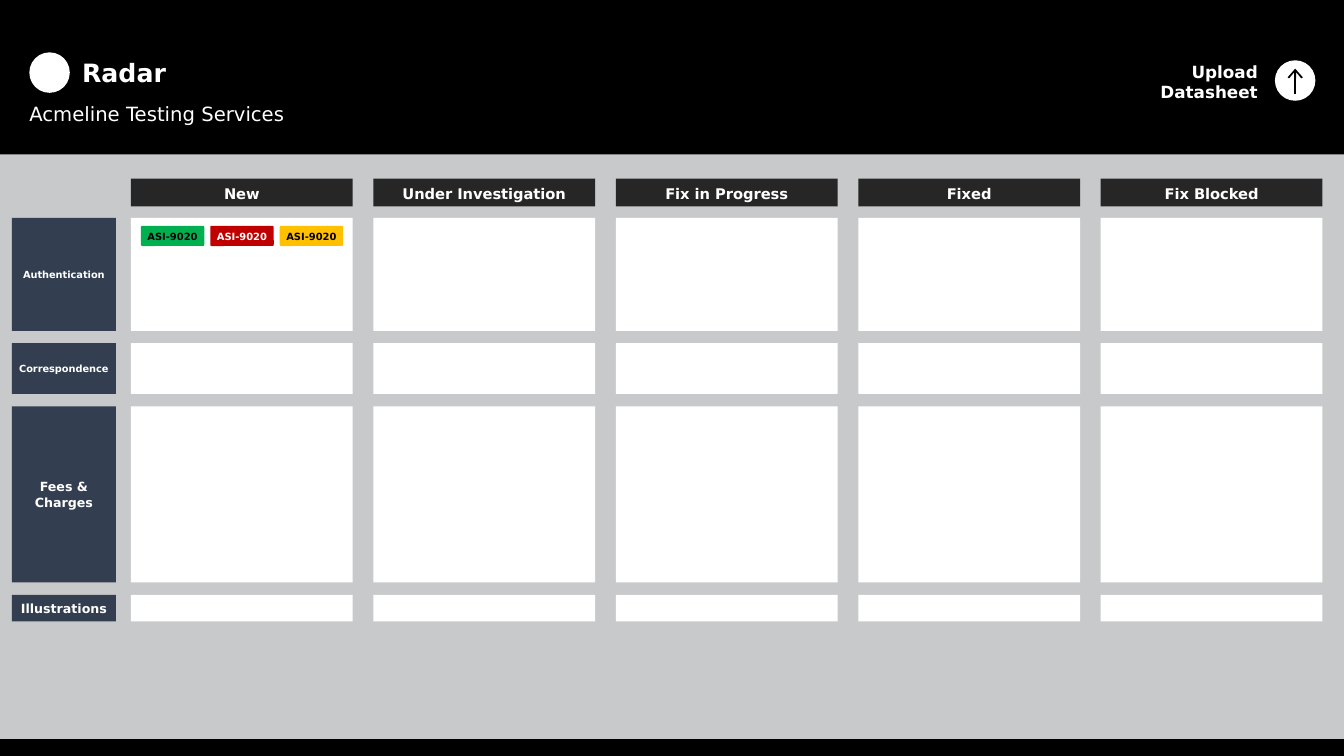
import pptx
import pptx.util
import pptx.dml.color
import pptx.enum.shapes
import pptx.enum.text
import pptx.oxml.ns
from lxml import etree

Cm, Pt = pptx.util.Cm, pptx.util.Pt
SHAPE = pptx.enum.shapes.MSO_SHAPE
ALIGN = pptx.enum.text.PP_ALIGN
ANCHOR = pptx.enum.text.MSO_ANCHOR

COLORS = {
    "black": "000000", "white": "FFFFFF", "panel": "C8C9CA",
    "category": "333F50", "status": "262626",
    "green": "00B050", "red": "C00000", "amber": "FFC000",
}


def rgb(name):
    return pptx.dml.color.RGBColor.from_string(COLORS[name])


class Board:
    font = "DejaVu Sans"

    def __init__(self, prs):
        self.s = prs.slides.add_slide(prs.slide_layouts[6])
        self.s.background.fill.solid()
        self.s.background.fill.fore_color.rgb = rgb("black")

    def style(self, p, text, size, color="white", bold=True, align=ALIGN.LEFT):
        p.text = text
        p.alignment = align
        p.font.name = self.font
        p.font.size = Pt(size)
        p.font.bold = bold
        p.font.color.rgb = rgb(color)

    def insets(self, tf, side=0, top=0, bottom=0):
        tf.word_wrap = True
        tf.margin_left = tf.margin_right = Cm(side)
        tf.margin_top, tf.margin_bottom = Cm(top), Cm(bottom)

    def shape(self, x, y, w, h, fill, kind=SHAPE.RECTANGLE):
        sp = self.s.shapes.add_shape(kind, Cm(x), Cm(y), Cm(w), Cm(h))
        sp.shadow.inherit = False
        sp.fill.solid()
        sp.fill.fore_color.rgb = rgb(fill)
        sp.line.fill.background()
        return sp

    def label(self, sp, text, size, color="white", insets=(0, 0, 0)):
        tf = sp.text_frame
        self.insets(tf, *insets)
        tf.vertical_anchor = ANCHOR.MIDDLE
        p = tf.paragraphs[0]
        self.style(p, text, size, color, align=ALIGN.CENTER)
        p.line_spacing = 1.06

    def text(self, x, y, w, h, lines, align=ALIGN.LEFT):
        """Each line is (text, size, bold, left indent in cm)."""
        tf = self.s.shapes.add_textbox(Cm(x), Cm(y), Cm(w), Cm(h)).text_frame
        self.insets(tf)
        for i, (text, size, bold, indent) in enumerate(lines):
            p = tf.add_paragraph() if i else tf.paragraphs[0]
            self.style(p, text, size, bold=bold, align=align)
            p.space_after = Pt(10)
            if indent:
                pPr = p._p.get_or_add_pPr()
                pPr.set("marL", str(Cm(indent)))
                pPr.set("indent", "0")

    def arrow(self, x1, y1, x2, y2, color, width):
        c = self.s.shapes.add_connector(
            pptx.enum.shapes.MSO_CONNECTOR.STRAIGHT, Cm(x1), Cm(y1), Cm(x2), Cm(y2))
        c.line.color.rgb = rgb(color)
        c.line.width = Pt(width)
        qn = pptx.oxml.ns.qn
        etree.SubElement(c.line._get_or_add_ln(), qn("a:tailEnd"),
                         type="arrow", w="lg", len="med")
        etree.SubElement(c._element.spPr, qn("a:effectLst"))


STATUSES = ["New", "Under Investigation", "Fix in Progress", "Fixed", "Fix Blocked"]
CATEGORIES = [  # name, row height, text size
    ("Authentication", 2.85, 7),
    ("Correspondence", 1.28, 7),
    ("Fees & Charges", 4.44, 9),
    ("Illustrations", 0.67, 9),
]
TICKETS = [("green", "black"), ("red", "white"), ("amber", "black")]
COL_X, COL_W, COL_STEP = 3.3, 5.59, 6.11
ROW_Y, ROW_GAP = 5.49, 0.31


def main():
    prs = pptx.Presentation()
    prs.slide_width, prs.slide_height = Cm(33.87), Cm(19.05)
    board = Board(prs)

    # Panel and title
    board.shape(0, 3.89, 33.87, 14.73, "panel")
    board.shape(0.74, 1.32, 1.02, 1.02, "white", SHAPE.OVAL)
    board.text(0.74, 1.45, 6.6, 1.73, [
        ("Radar", 18, True, 1.33),
        ("Acmeline Testing Services", 14, False, 0),
    ])

    # Status headers
    columns = [COL_X + i * COL_STEP for i in range(len(STATUSES))]
    for x, status in zip(columns, STATUSES):
        header = board.shape(x, 4.5, COL_W, 0.7, "status")
        board.label(header, status, 10.5, insets=(0.25, 0.3, 0.25))

    # Category rows
    y = ROW_Y
    for name, height, size in CATEGORIES:
        board.label(board.shape(0.3, y, 2.62, height, "category"), name, size)
        for x in columns:
            board.shape(x, y, COL_W, height, "white")
        y += height + ROW_GAP

    # Tickets
    for i, (fill, color) in enumerate(TICKETS):
        ticket = board.shape(3.55 + i * 1.75, 5.69, 1.6, 0.51, fill,
                             SHAPE.ROUNDED_RECTANGLE)
        ticket.adjustments[0] = 0.075
        board.label(ticket, "ASI-9020", 7.1, color, insets=(0, 0.2, 0.2))

    # Upload button
    board.text(28.93, 1.55, 2.77, 1.02, [("Upload Datasheet", 12, True, 0)], ALIGN.RIGHT)
    board.shape(32.13, 1.52, 1.02, 1.02, "white", SHAPE.OVAL)
    board.arrow(32.64, 2.36, 32.64, 1.73, "black", 1.5)

    prs.save("out.pptx")


if __name__ == "__main__":
    main()
